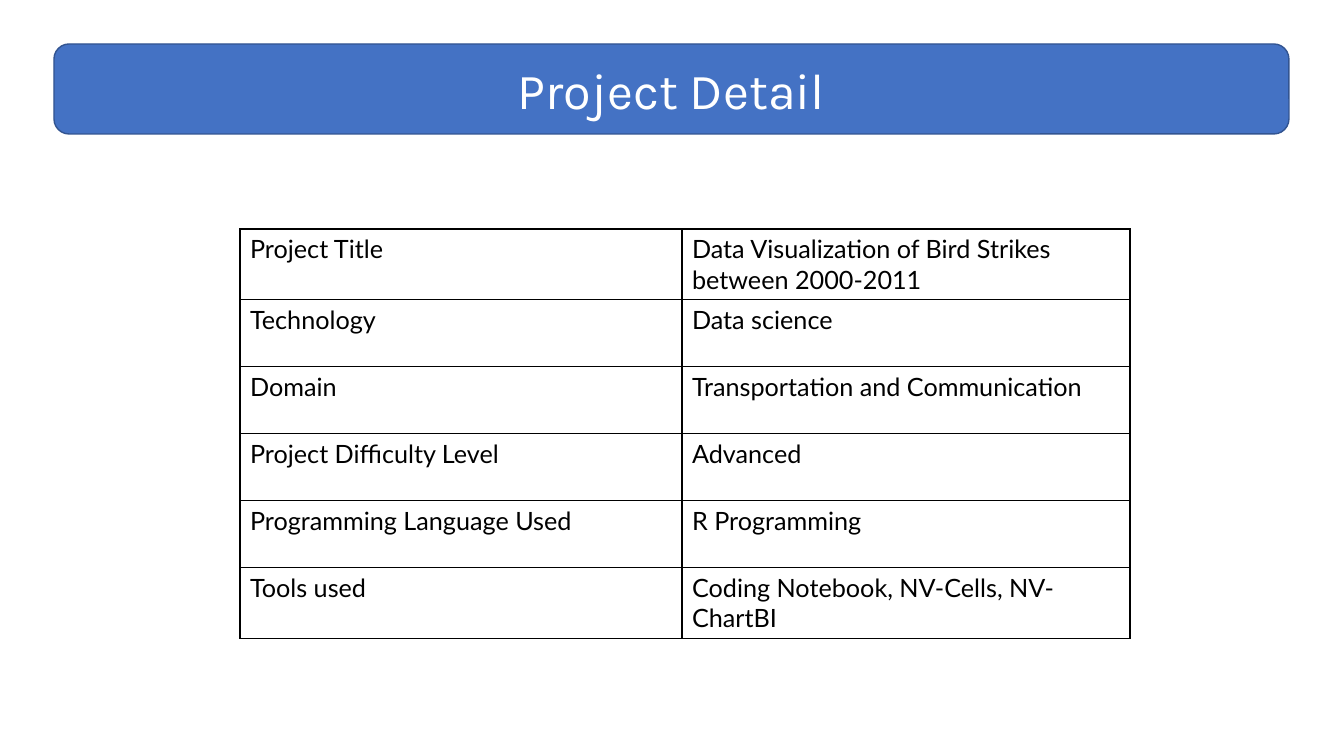
from lxml import etree
from pptx import Presentation
from pptx.dml.color import RGBColor
from pptx.enum.shapes import MSO_SHAPE
from pptx.enum.text import MSO_ANCHOR, PP_ALIGN
from pptx.oxml.ns import qn
from pptx.util import Emu, Pt

ROUNDED = MSO_SHAPE.ROUNDED_RECTANGLE
MIDDLE = MSO_ANCHOR.MIDDLE
CENTER = PP_ALIGN.CENTER

EMU_PER_PX = 914400 / 100.8
SLIDE_SIZE = (1344, 756)
COLORS = {
    "banner": "4472C4",
    "banner_edge": "325491",
    "title": "FFFFFF",
    "ink": "000000",
}
BORDER_SIDES = ("a:lnL", "a:lnR", "a:lnT", "a:lnB")

LABEL_WIDTH = 442
FIRST_ROW_HEIGHT, ROW_HEIGHT = 70, 67
DETAILS = [
    ("Project Title", "Data Visualization of Bird Strikes between 2000-2011"),
    ("Technology", "Data science"),
    ("Domain", "Transportation and Communication"),
    ("Project Difficulty Level", "Advanced"),
    ("Programming Language Used", "R Programming"),
    ("Tools used", "Coding Notebook, NV-Cells, NV-ChartBI"),
]


def px(length):
    return Emu(round(length * EMU_PER_PX))


def color(name):
    return RGBColor.from_string(COLORS[name])


def add_text(paragraph, text, font, size, color_name):
    run = paragraph.add_run()
    run.text = text
    run.font.name = font
    run.font.size = Pt(size)
    run.font.color.rgb = color(color_name)


def add_borders(cell):
    """Draw a thin line on all four sides; call before the fill is set."""
    properties = cell._tc.get_or_add_tcPr()
    for side in BORDER_SIDES:
        line = etree.SubElement(properties, qn(side), w=str(Pt(1)))
        fill = etree.SubElement(line, qn("a:solidFill"))
        etree.SubElement(fill, qn("a:srgbClr"), val=COLORS["ink"])


def add_banner(slide, left, top, width, height):
    banner = slide.shapes.add_shape(ROUNDED, px(left), px(top), px(width), px(height))
    banner.shadow.inherit = False
    banner.fill.solid()
    banner.fill.fore_color.rgb = color("banner")
    banner.line.color.rgb = color("banner_edge")
    banner.line.width = Pt(1)
    banner.text_frame.vertical_anchor = MIDDLE
    title = banner.text_frame.paragraphs[0]
    title.alignment = CENTER
    add_text(title, "Project Detail", "Karla", 36, "title")


def add_details(slide, left, top, width):
    row_heights = [FIRST_ROW_HEIGHT] + [ROW_HEIGHT] * (len(DETAILS) - 1)
    table = slide.shapes.add_table(
        len(DETAILS), 2, px(left), px(top), px(width), px(sum(row_heights))
    ).table
    table.first_row = False
    table.horz_banding = False
    table.columns[0].width = px(LABEL_WIDTH)
    table.columns[1].width = px(width - LABEL_WIDTH)
    for row, height, detail in zip(table.rows, row_heights, DETAILS):
        row.height = px(height)
        for cell, text in zip(row.cells, detail):
            add_borders(cell)
            cell.fill.background()
            add_text(cell.text_frame.paragraphs[0], text, "Lato", 18, "ink")


def main():
    presentation = Presentation()
    presentation.slide_width, presentation.slide_height = map(px, SLIDE_SIZE)
    slide = presentation.slides.add_slide(presentation.slide_layouts[6])
    add_banner(slide, 54, 44, 1235, 90)
    add_details(slide, 240, 229, 890)
    presentation.save("out.pptx")


if __name__ == "__main__":
    main()
